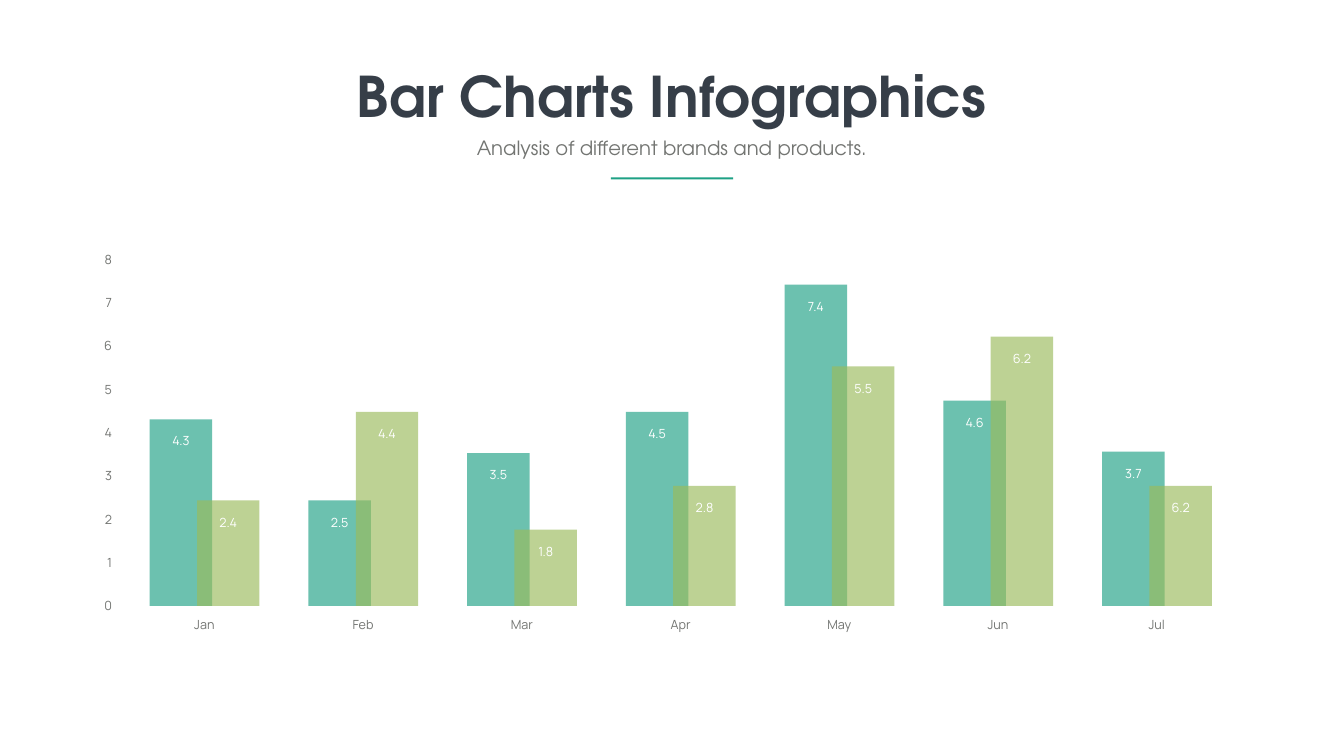
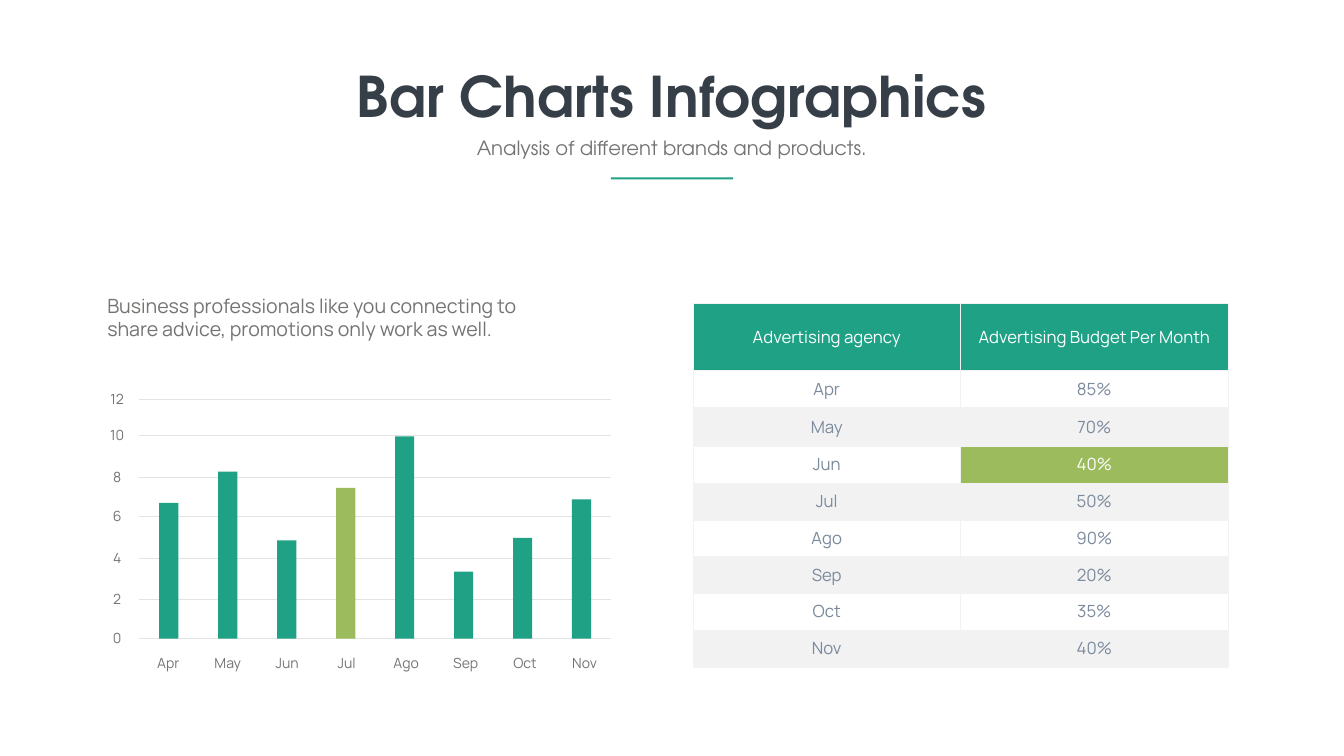
from lxml import etree
from pptx import Presentation
from pptx.dml.color import RGBColor
from pptx.enum import shapes, text
from pptx.oxml import ns
from pptx.util import Inches, Pt

# Shared style
TEAL, GREEN, WHITE = "1EA185", "9BBB5C", "FFFFFF"
DARK, GREY, SLATE = "363E48", "737572", "7B8A9C"
GRID, PALE = "E3E3E3", "F2F2F2"
HEAD_FONT, BODY_FONT = "TeX Gyre Adventor", "Manrope"
LEFT, CENTER, RIGHT = text.PP_ALIGN.LEFT, text.PP_ALIGN.CENTER, text.PP_ALIGN.RIGHT

# Content
TITLE = "Bar Charts Infographics"
SUBTITLE = "Analysis of different brands and products."

# Month, then (label, bar height in inches) for the teal and the green bar
PAIRS = [
    ("Jan", ("4.3", 3.7), ("2.4", 2.09)),
    ("Feb", ("2.5", 2.09), ("4.4", 3.85)),
    ("Mar", ("3.5", 3.03), ("1.8", 1.51)),
    ("Apr", ("4.5", 3.85), ("2.8", 2.38)),
    ("May", ("7.4", 6.37), ("5.5", 4.75)),
    ("Jun", ("4.6", 4.07), ("6.2", 5.34)),
    ("Jul", ("3.7", 3.06), ("6.2", 2.38)),
]

INTRO = ("Business professionals like you connecting to share advice, "
         "promotions only work as well.")
# Axis value and height of its grid line on the slide
GRID_LINES = [(12, 7.92), (10, 8.64), (8, 9.47), (6, 10.25),
              (4, 11.08), (2, 11.88), (0, 12.66)]
# Month, bar height in inches, share of the budget
BUDGET = [
    ("Apr", 2.69, "85%"), ("May", 3.31, "70%"), ("Jun", 1.95, "40%"),
    ("Jul", 2.99, "50%"), ("Ago", 4.01, "90%"), ("Sep", 1.33, "20%"),
    ("Oct", 2, "35%"), ("Nov", 2.76, "40%"),
]
BUDGET_HEAD = ("Advertising agency", "Advertising Budget Per Month")
ROW_HEIGHTS = [1.34, 0.73, 0.77] + [0.73] * 6
GREEN_BAR, GREEN_CELL = "Jul", "Jun"


def rgb(color):
    return RGBColor.from_string(color)


def style(p, size, color, font=BODY_FONT, align=CENTER, bold=False):
    p.alignment = align
    for r in p.runs:
        r.font.size, r.font.name, r.font.bold = Pt(size), font, bold
        r.font.color.rgb = rgb(color)


def add_text(slide, words, x, y, w, h, size, color=GREY, wrap=True, **kw):
    tf = slide.shapes.add_textbox(Inches(x), Inches(y), Inches(w), Inches(h)).text_frame
    tf.word_wrap = wrap
    tf.auto_size = text.MSO_AUTO_SIZE.SHAPE_TO_FIT_TEXT
    tf.text = str(words)
    style(tf.paragraphs[0], size, color, **kw)


def add_bar(slide, x, y, w, h, color, opacity=100):
    sp = slide.shapes.add_shape(shapes.MSO_SHAPE.RECTANGLE,
                                Inches(x), Inches(y), Inches(w), Inches(h))
    sp.shadow.inherit = False
    sp.line.fill.background()
    sp.fill.solid()
    sp.fill.fore_color.rgb = rgb(color)
    if opacity < 100:
        clr = sp.fill._xPr.find(".//" + ns.qn("a:srgbClr"))
        etree.SubElement(clr, ns.qn("a:alpha")).set("val", str(opacity * 1000))


def add_grid_line(slide, x1, x2, y):
    line = slide.shapes.add_connector(shapes.MSO_CONNECTOR.STRAIGHT,
                                      Inches(x1), Inches(y), Inches(x2), Inches(y))
    line.line.color.rgb = rgb(GRID)
    line.line.width = Pt(0.5)
    etree.SubElement(line._element.spPr, ns.qn("a:effectLst"))


def set_borders(cell, color, width):
    tc_pr = cell._tc.get_or_add_tcPr()
    for side in ("lnL", "lnR", "lnT", "lnB"):
        ln = etree.SubElement(tc_pr, ns.qn("a:" + side), w=str(Pt(width)))
        fill = etree.SubElement(ln, ns.qn("a:solidFill"))
        etree.SubElement(fill, ns.qn("a:srgbClr"), val=color)


def add_slide(prs):
    slide = prs.slides.add_slide(prs.slide_layouts[6])
    slide.background.fill.solid()
    slide.background.fill.fore_color.rgb = rgb(WHITE)
    return slide


def add_heading(slide):
    add_text(slide, TITLE, 6.92, 1.17, 12.82, 1.45, 80, DARK,
             wrap=False, font=HEAD_FONT, bold=True)
    add_text(slide, SUBTITLE, 8.55, 2.65, 9.56, 0.57, 28, font=HEAD_FONT)
    add_bar(slide, 12.12, 3.52, 2.43, 0.04, TEAL)


def build_pairs_slide(prs):
    slide = add_slide(prs)
    add_heading(slide)
    base, bar_w, label_w, label_h = 12.02, 1.24, 0.89, 0.4

    # Value axis
    for value in range(8, -1, -1):
        add_text(slide, value, 1.43, 11.82 - 0.86 * value, label_w, label_h, 18,
                 align=RIGHT)

    # Overlapping bars, their values and months
    for i, (month, *values) in enumerate(PAIRS):
        left = 2.97 + 3.15 * i
        add_text(slide, month, left + 0.64, 12.2, label_w, label_h, 18)
        bars = [(left + 0.94 * j, base - h, label, h, color)
                for j, ((label, h), color) in enumerate(zip(values, (TEAL, GREEN)))]
        for x, y, label, h, color in bars:
            add_bar(slide, x, y, bar_w, h, color, opacity=65)
        for x, y, label, h, color in bars:
            add_text(slide, label, x + (bar_w - label_w) / 2, y + 0.23,
                     label_w, label_h, 18, WHITE)


def add_budget_table(slide):
    rows = [BUDGET_HEAD] + [(month, share) for month, _, share in BUDGET]
    table = slide.shapes.add_table(len(rows), 2, Inches(13.75), Inches(6.01),
                                   Inches(10.62), Inches(sum(ROW_HEIGHTS))).table
    table.horz_banding = False
    for i, (row, height) in enumerate(zip(rows, ROW_HEIGHTS)):
        table.rows[i].height = Inches(height)
        for j, words in enumerate(row):
            if i == 0:
                fill, color = TEAL, WHITE
            elif row[0] == GREEN_CELL and j == 1:
                fill, color = GREEN, WHITE
            else:
                fill, color = (WHITE if i % 2 else PALE), SLATE
            cell = table.cell(i, j)
            set_borders(cell, PALE, 0.25)
            cell.fill.solid()
            cell.fill.fore_color.rgb = rgb(fill)
            cell.vertical_anchor = text.MSO_ANCHOR.MIDDLE
            cell.text_frame.text = words
            style(cell.text_frame.paragraphs[0], 24, color)


def build_budget_slide(prs):
    slide = add_slide(prs)
    base = 12.67

    # Grid lines and value axis
    for value, y in GRID_LINES:
        add_grid_line(slide, 2.75, 12.12, y)
        add_text(slide, value, 2.02, y - 0.22, 0.61, 0.43, 20)

    add_budget_table(slide)
    add_text(slide, INTRO, 2.03, 5.78, 8.89, 1.04, 28, align=LEFT)
    add_heading(slide)

    # Bars and months
    for i, (month, h, _) in enumerate(BUDGET):
        color = GREEN if month == GREEN_BAR else TEAL
        add_bar(slide, 3.16 + 1.17 * i, base - h, 0.38, h, color)
        add_text(slide, month, 2.71 + 1.18 * i, 12.94, 1.26, 0.45, 20)


def main():
    prs = Presentation()
    prs.slide_width, prs.slide_height = Inches(26.67), Inches(15)
    build_pairs_slide(prs)
    build_budget_slide(prs)
    prs.save("out.pptx")


if __name__ == "__main__":
    main()
